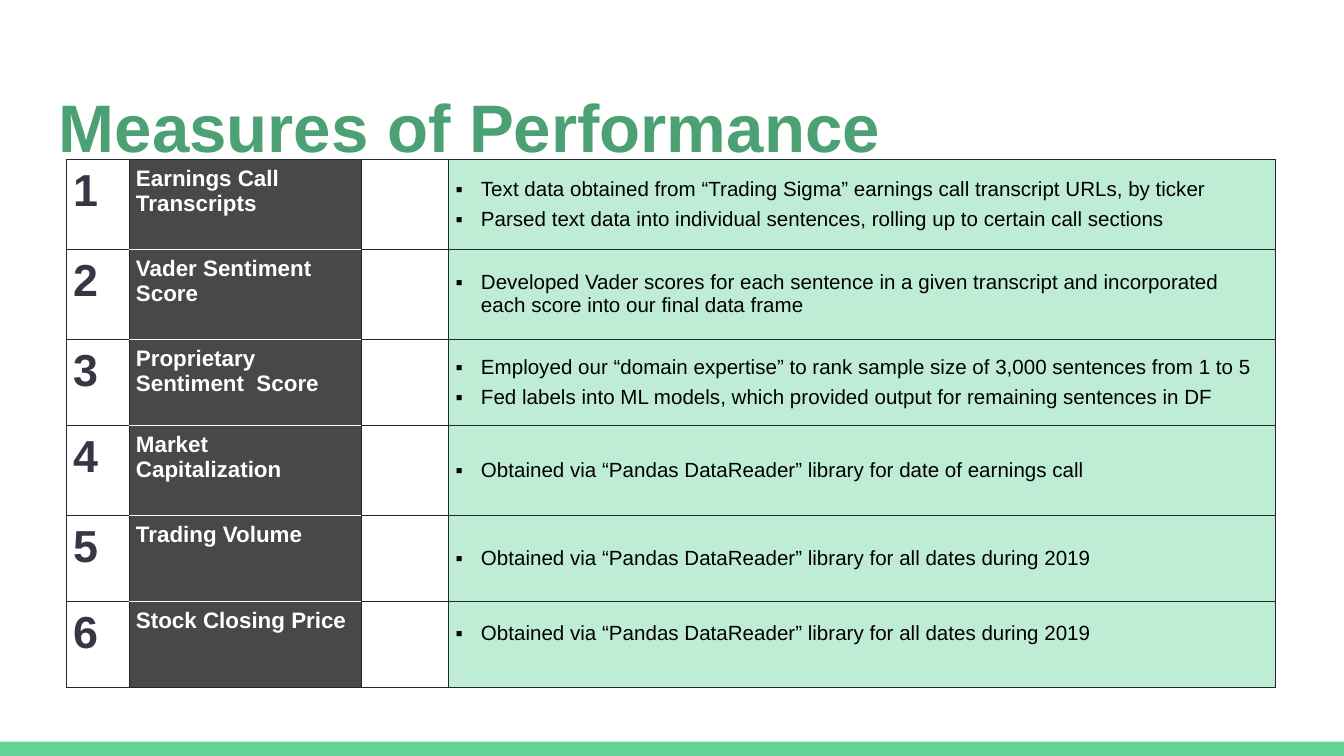
import pptx
import pptx.dml.color
import pptx.enum.shapes
import pptx.enum.text
import pptx.oxml
import pptx.oxml.ns
import pptx.util
from lxml import etree

Cm, Pt = pptx.util.Cm, pptx.util.Pt
Anchor = pptx.enum.text.MSO_ANCHOR
Align = pptx.enum.text.PP_ALIGN

WIDTH, HEIGHT = 25.4, 14.29
COLS = [1.19, 4.39, 1.65, 15.63]
TALL, LOW = 1.7, 1.63
ROWS = [
    (TALL, "Earnings Call Transcripts", [
        "Text data obtained from “Trading Sigma” earnings call transcript URLs, by ticker",
        "Parsed text data into individual sentences, rolling up to certain call sections"]),
    (TALL, "Vader Sentiment Score", [
        "Developed Vader scores for each sentence in a given transcript and "
        "incorporated each score into our final data frame"]),
    (LOW, "Proprietary Sentiment  Score", [
        "Employed our “domain expertise” to rank sample size of 3,000 sentences from 1 to 5",
        "Fed labels into ML models, which provided output for remaining sentences in DF"]),
    (TALL, "Market Capitalization", [
        "Obtained via “Pandas DataReader” library for date of earnings call"]),
    (LOW, "Trading Volume", [
        "Obtained via “Pandas DataReader” library for all dates during 2019"]),
    (LOW, "Stock Closing Price", [
        "Obtained via “Pandas DataReader” library for all dates during 2019"]),
]


class Deck:
    hues = {"title": "4BA173", "bar": "63D297", "number": "353744", "label": "484848",
            "note": "BFECD4", "line": "202729", "white": "FFFFFF", "black": "000000"}
    fonts = {
        "title": {"size": Pt(36), "bold": True},
        "number": {"size": Pt(24), "bold": True},
        "white": {"size": Pt(12), "bold": True},
        "black": {"size": Pt(11), "bold": False},
    }

    def __init__(self):
        self.prs = pptx.Presentation()
        self.prs.slide_width, self.prs.slide_height = Cm(WIDTH), Cm(HEIGHT)
        self.slide = self.prs.slides.add_slide(self.prs.slide_layouts[5])

    def hue(self, name):
        return pptx.dml.color.RGBColor.from_string(self.hues[name])

    def apply(self, item, values):
        for key, value in values.items():
            setattr(item, key, value)

    def text(self, para, words, style):
        para.text = words
        para.alignment = Align.LEFT
        self.apply(para.font, {"name": "Arial", **self.fonts[style]})
        para.font.color.rgb = self.hue(style)

    def title(self, words, left, top, width, height):
        box = self.slide.shapes.title
        self.apply(box, {"left": Cm(left), "top": Cm(top),
                         "width": Cm(width), "height": Cm(height)})
        self.apply(box.text_frame, {
            "margin_left": Cm(0.25), "margin_right": Cm(0.25),
            "margin_top": Cm(0.38), "margin_bottom": Cm(0),
            "vertical_anchor": Anchor.TOP, "word_wrap": True,
            "auto_size": pptx.enum.text.MSO_AUTO_SIZE.NONE})
        self.text(box.text_frame.paragraphs[0], words, "title")

    def bar(self, left, top, width, height):
        kind = pptx.enum.shapes.MSO_SHAPE.RECTANGLE
        bar = self.slide.shapes.add_shape(kind, Cm(left), Cm(top), Cm(width), Cm(height))
        bar.shadow.inherit = False
        bar.fill.solid()
        bar.fill.fore_color.rgb = self.hue("bar")
        bar.line.fill.background()

    def table(self, left, top, cols, rows):
        frame = self.slide.shapes.add_table(
            len(rows), len(cols), Cm(left), Cm(top), Cm(sum(cols)), Cm(sum(rows)))
        table = frame.table
        self.apply(table, {"first_row": False, "horz_banding": False})
        for col, width in zip(table.columns, cols):
            col.width = Cm(width)
        for row, height in zip(table.rows, rows):
            row.height = Cm(height)
        return table

    def cell(self, cell, fill=None, top="line", bottom="line", anchor=Anchor.TOP):
        sides = ("left", "right", "top", "bottom")
        self.apply(cell, {f"margin_{side}": Cm(0.13) for side in sides})
        cell.vertical_anchor = anchor
        # Borders come before the fill in the cell properties
        props = cell._tc.get_or_add_tcPr()
        for side, name in zip("LRTB", ("line", "line", top, bottom)):
            props.append(pptx.oxml.parse_xml(
                f'<a:ln{side} {pptx.oxml.ns.nsdecls("a")} w="{Pt(0.75)}"><a:solidFill>'
                f'<a:srgbClr val="{self.hues[name]}"/></a:solidFill></a:ln{side}>'))
        if fill:
            cell.fill.solid()
            cell.fill.fore_color.rgb = self.hue(fill)
        else:
            cell.fill.background()

    def bullets(self, cell, lines):
        frame = cell.text_frame
        qn = pptx.oxml.ns.qn
        for i, line in enumerate(lines):
            para = frame.add_paragraph() if i else frame.paragraphs[0]
            props = para._p.get_or_add_pPr()
            props.set("marL", str(Cm(0.48)))
            props.set("indent", str(-Cm(0.48)))
            tint = etree.SubElement(props, qn("a:buClr"))
            etree.SubElement(tint, qn("a:srgbClr"), val=self.hues["black"])
            etree.SubElement(props, qn("a:buFont"), typeface="Arial")
            etree.SubElement(props, qn("a:buChar"), char="▪")
            if i:
                para.space_before = Pt(4)
            self.text(para, line, "black")


def main():
    deck = Deck()

    # Title and footer bar
    deck.bar(0, 14.02, WIDTH, 0.27)
    deck.title("Measures of Performance", 0.86, 1.24, 23.67, 1.6)

    # Table of measures
    table = deck.table(1.25, 3.01, COLS, [row[0] for row in ROWS])
    last = len(ROWS) - 1
    for i, (_, label, notes) in enumerate(ROWS):
        number, name, gap, note = table.rows[i].cells
        deck.cell(number)
        deck.text(number.text_frame.paragraphs[0], str(i + 1), "number")
        deck.cell(name, "label", top="white" if i else "line",
                  bottom="white" if i < last else "line")
        deck.text(name.text_frame.paragraphs[0], label, "white")
        deck.cell(gap)
        deck.cell(note, "note", anchor=Anchor.MIDDLE)
        deck.bullets(note, notes)

    # The last note sits a little above the middle
    table.cell(last, 3).margin_bottom = Cm(0.54)

    deck.prs.save("out.pptx")


if __name__ == "__main__":
    main()
